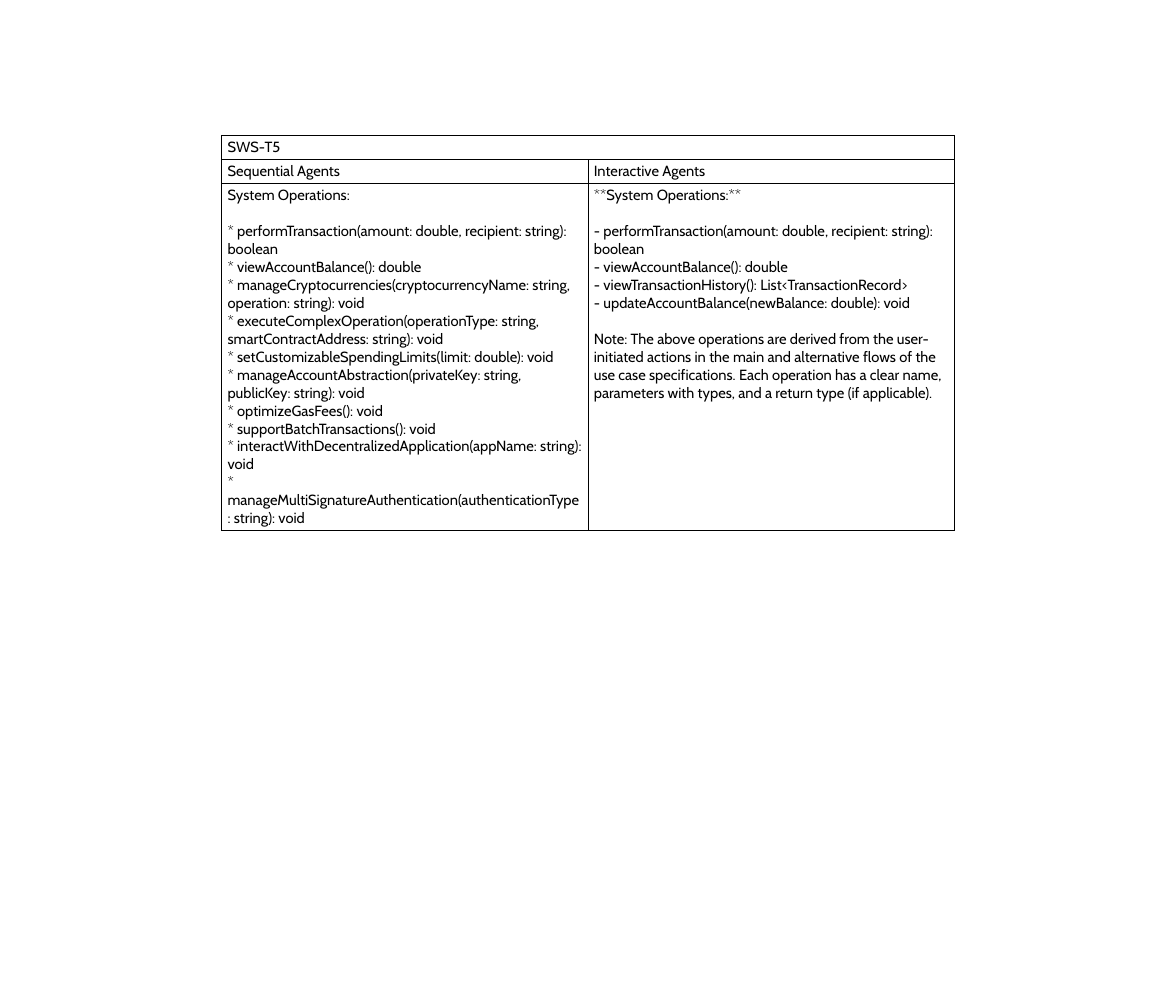
import pptx
import pptx.dml.color
import pptx.enum.text
import pptx.oxml
import pptx.oxml.ns
import pptx.util

Inches = pptx.util.Inches
Pt = pptx.util.Pt

BLANK_LAYOUT = 6
SECTION_GAP = 22
SEQUENTIAL_OPERATIONS = [
    "performTransaction(amount: double, recipient: string): boolean",
    "viewAccountBalance(): double",
    "manageCryptocurrencies(cryptocurrencyName: string, operation: string): void",
    "executeComplexOperation(operationType: string, smartContractAddress: string): void",
    "setCustomizableSpendingLimits(limit: double): void",
    "manageAccountAbstraction(privateKey: string, publicKey: string): void",
    "optimizeGasFees(): void",
    "supportBatchTransactions(): void",
    "interactWithDecentralizedApplication(appName: string): void",
    "manageMultiSignatureAuthentication(authenticationType: string): void",
]
INTERACTIVE_OPERATIONS = [
    "performTransaction(amount: double, recipient: string): boolean",
    "viewAccountBalance(): double",
    "viewTransactionHistory(): List<TransactionRecord>",
    "updateAccountBalance(newBalance: double): void",
]
NOTE = (
    "Note: The above operations are derived from the user-initiated actions in the main "
    "and alternative flows of the use case specifications. Each operation has a clear name, "
    "parameters with types, and a return type (if applicable)."
)


def color(hex_string):
    return pptx.dml.color.RGBColor.from_string(hex_string)


def operation_section(marker, operations):
    return [f"{marker} {operation}" for operation in operations]


class SlideWriter:
    font = {"name": "Cabin", "size": Pt(18)}
    cell_format = {
        "margin_left": Inches(0.1),
        "margin_right": Inches(0.1),
        "margin_top": Inches(0.05),
        "margin_bottom": Inches(0.05),
        "vertical_anchor": pptx.enum.text.MSO_ANCHOR.TOP,
    }
    text_color = "000000"
    border_color = "000000"
    border_width = Pt(1)
    cell_color = "FFFFFF"

    def __init__(self, slide):
        self.slide = slide

    def table(self, left, top, column_widths, row_heights):
        table = self.slide.shapes.add_table(
            len(row_heights), len(column_widths), Inches(left), Inches(top),
            Inches(sum(column_widths)), Inches(sum(row_heights)),
        ).table
        for column, width in zip(table.columns, column_widths):
            column.width = Inches(width)
        for row, height in zip(table.rows, row_heights):
            row.height = Inches(height)
        for cell in table.iter_cells():
            for name, value in self.cell_format.items():
                setattr(cell, name, value)
            cell.fill.solid()
            cell.fill.fore_color.rgb = color(self.cell_color)
            self.borders(cell)
        return table

    def borders(self, cell):
        properties = cell._tc.get_or_add_tcPr()
        for index, side in enumerate(("lnL", "lnR", "lnT", "lnB")):
            properties.insert(index, pptx.oxml.parse_xml(
                f'<a:{side} {pptx.oxml.ns.nsdecls("a")} w="{self.border_width}">'
                f'<a:solidFill><a:srgbClr val="{self.border_color}"/></a:solidFill>'
                f'</a:{side}>'
            ))

    def cell_text(self, cell, sections):
        """Write each section as consecutive paragraphs, with a gap between sections."""
        frame = cell.text_frame
        frame.text = "\n".join(line for section in sections for line in section)
        paragraphs = iter(frame.paragraphs)
        for section_index, section in enumerate(sections):
            for line_index in range(len(section)):
                paragraph = next(paragraphs)
                if section_index and not line_index:
                    paragraph.space_before = Pt(SECTION_GAP)
                font = paragraph.runs[0].font
                for name, value in self.font.items():
                    setattr(font, name, value)
                font.color.rgb = color(self.text_color)


def main():
    presentation = pptx.Presentation()
    presentation.slide_width = Inches(20)
    presentation.slide_height = Inches(17)
    slide = presentation.slides.add_slide(presentation.slide_layouts[BLANK_LAYOUT])
    writer = SlideWriter(slide)

    table = writer.table(3.77, 2.3, [6.23, 6.23], [0.41, 0.41, 5.79])
    table.cell(0, 0).merge(table.cell(0, 1))
    contents = {
        (0, 0): [["SWS-T5"]],
        (1, 0): [["Sequential Agents"]],
        (1, 1): [["Interactive Agents"]],
        (2, 0): [["System Operations:"], operation_section("*", SEQUENTIAL_OPERATIONS)],
        (2, 1): [["**System Operations:**"], operation_section("-", INTERACTIVE_OPERATIONS), [NOTE]],
    }
    for (row, column), sections in contents.items():
        writer.cell_text(table.cell(row, column), sections)

    presentation.save("out.pptx")


if __name__ == "__main__":
    main()
